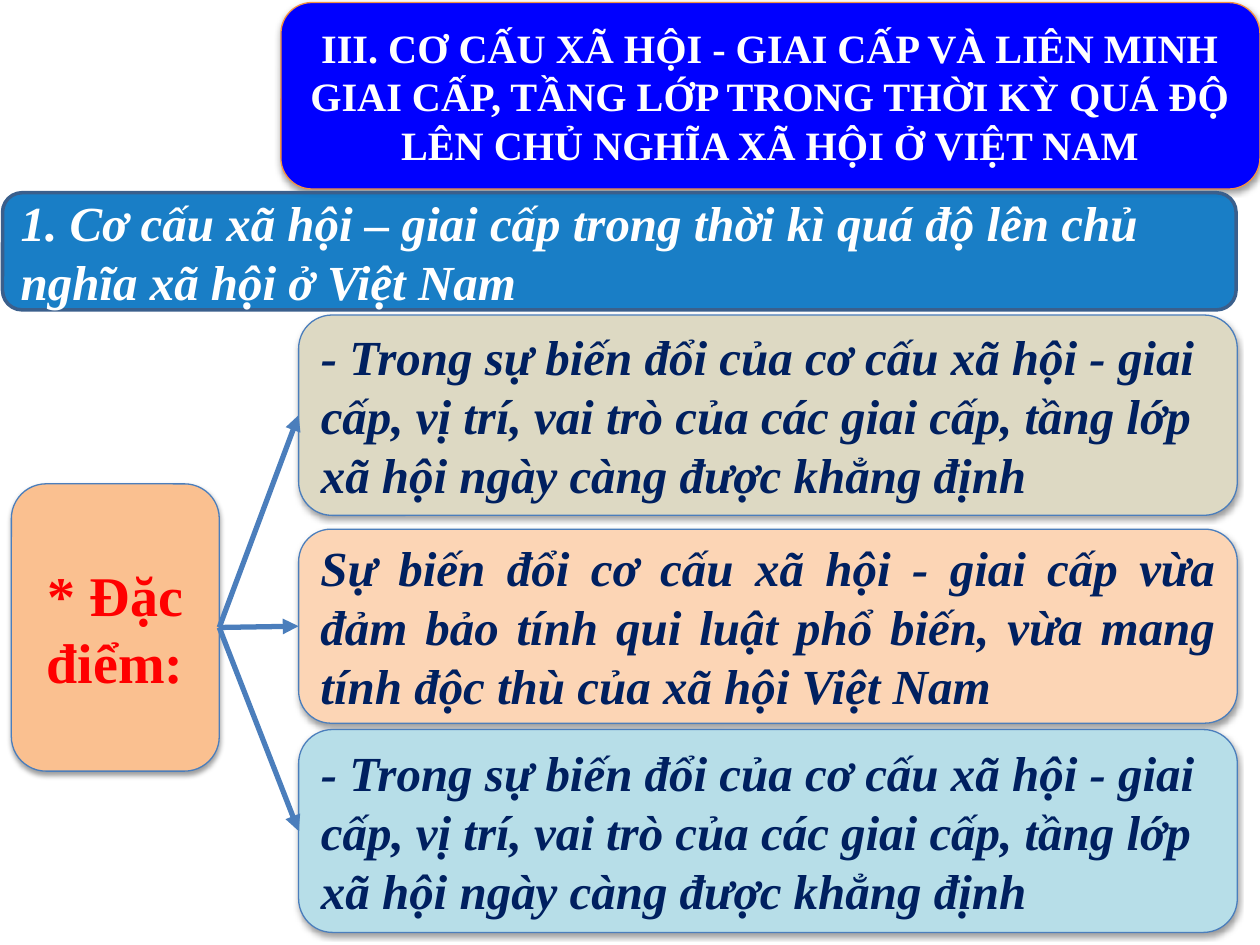
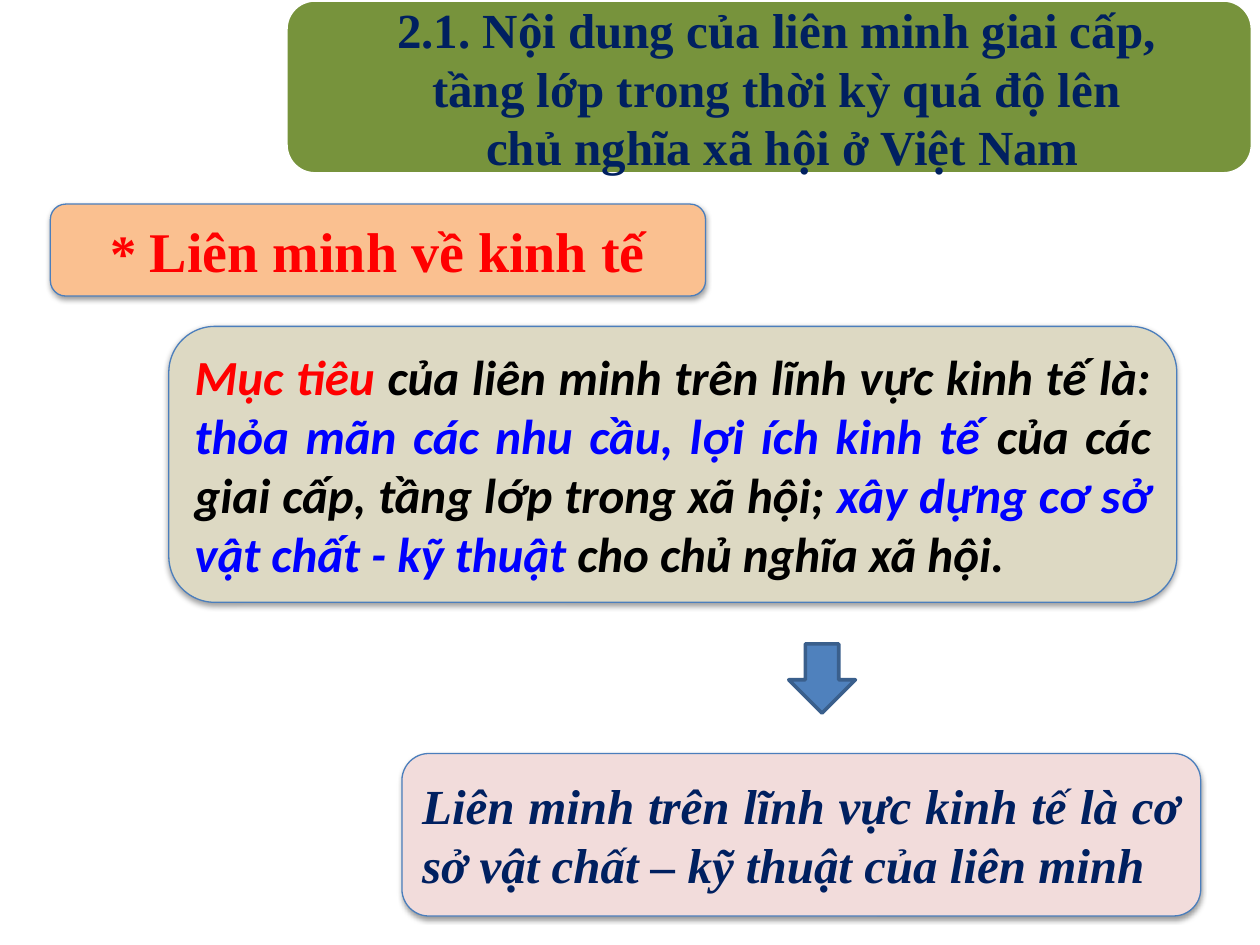
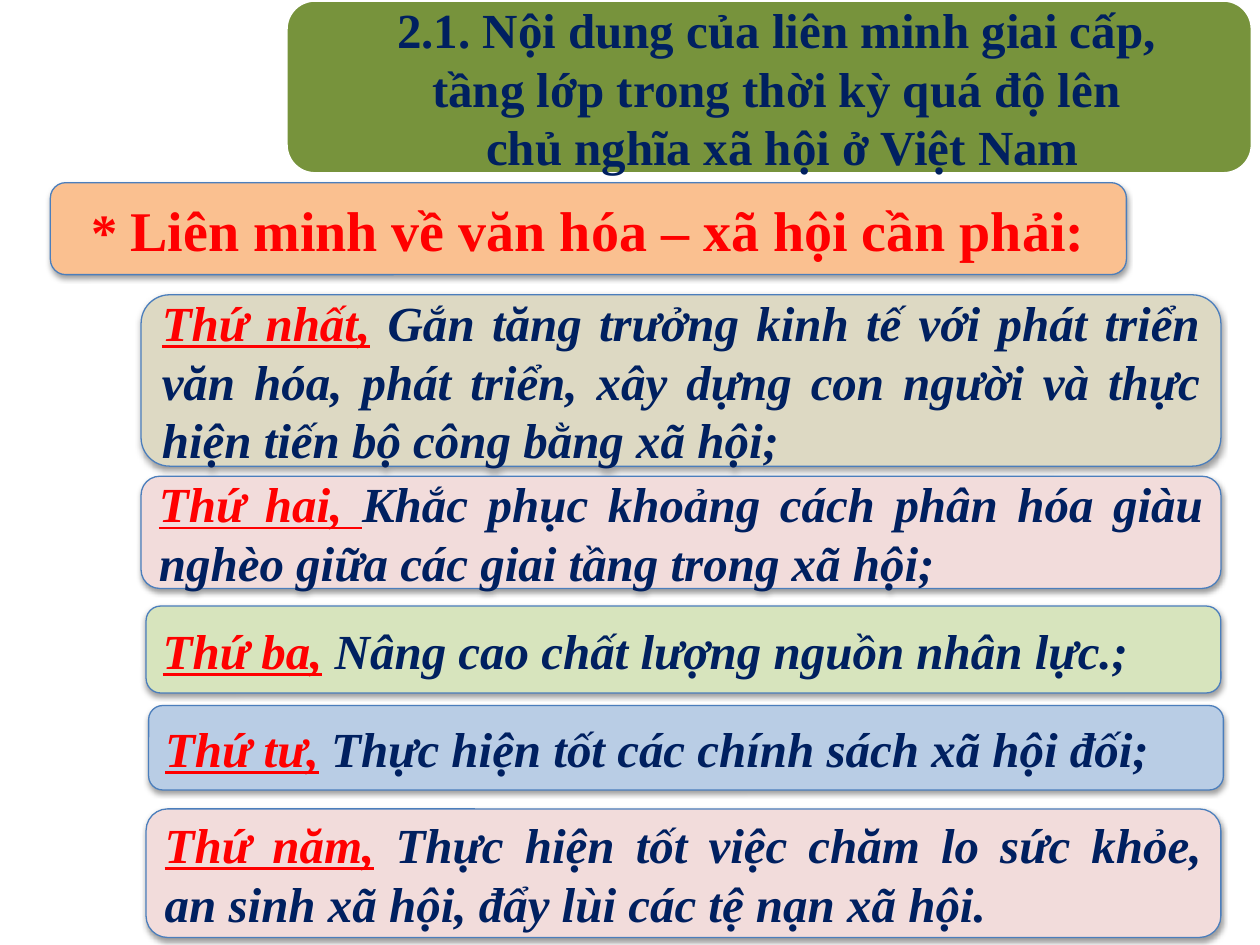
from dataclasses import dataclass

from lxml import etree
from pptx import Presentation
from pptx.dml.color import RGBColor
from pptx.enum.shapes import MSO_CONNECTOR, MSO_SHAPE
from pptx.enum.text import MSO_ANCHOR, MSO_AUTO_SIZE, PP_ALIGN
from pptx.oxml import parse_xml
from pptx.oxml.ns import nsdecls, qn
from pptx.util import Inches, Pt

ROUNDED, DOWN_ARROW = MSO_SHAPE.ROUNDED_RECTANGLE, MSO_SHAPE.DOWN_ARROW
STRAIGHT = MSO_CONNECTOR.STRAIGHT
MIDDLE, NO_AUTOFIT = MSO_ANCHOR.MIDDLE, MSO_AUTO_SIZE.NONE
LEFT, CENTER, JUSTIFY = PP_ALIGN.LEFT, PP_ALIGN.CENTER, PP_ALIGN.JUSTIFY
LEFT_SITE, RIGHT_SITE = 1, 3

SERIF, SANS = "Times New Roman", "Calibri"
COLORS = {
    "white": "FFFFFF", "black": "000000", "blue": "0000FF", "red": "FF0000",
    "navy": "002060", "outline": "4B7EBC", "dark outline": "3A5F8C",
    "orange": "F69240", "bar": "0070C0", "green": "77933C", "apricot": "FAC090",
    "sand": "DDD9C3", "aqua": "B7DEE8", "peach": "FCD5B5", "rose": "F2DCDB",
    "lime": "D7E4BD", "sky": "B9CDE5", "arrow": "4F81BD",
}


@dataclass(frozen=True)
class Span:
    text: str
    color: str = "navy"
    size: int | None = None
    underline: bool = False


@dataclass(frozen=True)
class TextStyle:
    size: int = 28
    italic: bool = True
    align: PP_ALIGN = JUSTIFY
    font: str = SERIF


@dataclass(frozen=True)
class Panel:
    box: tuple[float, float, float, float]
    fill: str
    spans: tuple[Span, ...] = ()
    style: TextStyle = TextStyle()
    line: str = "outline"
    line_width: float = 0.75
    shadow: bool = True
    preset: MSO_SHAPE = ROUNDED


@dataclass(frozen=True)
class Heading:
    panel: Panel
    text_box: tuple[float, float, float, float]
    lines: tuple[str, ...]
    color: str
    size: int


LEFT_TEXT = TextStyle(align=LEFT)
LABEL = TextStyle(size=32, italic=False, align=CENTER)
SANS_TEXT = TextStyle(font=SANS)

PART_BOX = (2.23, 0.02, 7.77, 1.48)
PART_HEADING = Heading(
    Panel(PART_BOX, "blue", line="orange"), PART_BOX,
    ("III. CƠ CẤU XÃ HỘI - GIAI CẤP VÀ LIÊN MINH GIAI CẤP, TẦNG LỚP TRONG "
     "THỜI KỲ QUÁ ĐỘ LÊN CHỦ NGHĨA XÃ HỘI Ở VIỆT NAM",), "white", 23)
SECTION_HEADING = Heading(
    Panel((2.27, 0, 7.67, 1.38), "green", line="white", line_width=2, shadow=False),
    (2.42, 0.07, 7.58, 1.25),
    ("2.1. Nội dung của liên minh giai cấp, ", "tầng lớp trong thời kỳ quá độ lên ",
     "chủ nghĩa xã hội ở Việt Nam"), "navy", 28)

TOPIC_BAR = Panel(
    (0.02, 1.53, 9.79, 0.93), "bar",
    (Span("1. Cơ cấu xã hội – giai cấp trong thời kì quá độ lên chủ nghĩa xã hội ở Việt Nam",
          "white"),), LEFT_TEXT, "dark outline", 2, False)
FEATURES_LABEL = Panel((0.09, 3.84, 1.65, 2.28), "apricot",
                       (Span("* Đặc điểm:", "red"),), LABEL)
ROLES = (Span("- Trong sự biến đổi của cơ cấu xã hội - giai cấp, vị trí, vai trò của các "
              "giai cấp, tầng lớp xã hội ngày càng được khẳng định"),)
FEATURES = (
    Panel((2.37, 2.5, 7.45, 1.59), "sand", ROLES, LEFT_TEXT),
    Panel((2.37, 4.2, 7.45, 1.54), "peach", (
        Span("Sự biến đổi cơ cấu xã hội - giai cấp vừa đảm bảo tính qui luật phổ biến, "
             "vừa mang tính độc thù của xã hội Việt Nam"),)),
    Panel((2.37, 5.79, 7.45, 1.61), "aqua", ROLES, LEFT_TEXT),
)

ECONOMY = (
    Panel((1.34, 2.59, 8, 2.19), "sand", (
        Span("Mục tiêu ", "red"),
        Span("của liên minh trên lĩnh vực kinh tế là: ", "black"),
        Span("thỏa mãn các nhu cầu, lợi ích kinh tế ", "blue"),
        Span("của các giai cấp, tầng lớp trong xã hội; ", "black"),
        Span("xây dựng cơ sở vật chất - kỹ thuật ", "blue"),
        Span("cho chủ nghĩa xã hội.", "black")), SANS_TEXT),
    Panel((3.19, 5.98, 6.34, 1.29), "rose", (
        Span("Liên minh trên lĩnh vực kinh tế là cơ sở vật chất – kỹ thuật của liên minh"),)),
    Panel((6.26, 5.11, 0.53, 0.55), "arrow", line="dark outline", line_width=2,
          shadow=False, preset=DOWN_ARROW),
)


def task(box: tuple[float, float, float, float], fill: str, ordinal: str, text: str) -> Panel:
    return Panel(box, fill, (Span(ordinal, "red", underline=True), Span(text)))


CULTURE_TASKS = (
    task((1.12, 2.34, 8.57, 1.36), "sand", "Thứ nhất,",
         " Gắn tăng trưởng kinh tế với phát triển\n"
         "văn hóa, phát triển, xây dựng con người và thực hiện tiến bộ công bằng xã hội;"),
    task((1.12, 3.78, 8.57, 0.89), "rose", "Thứ hai, ",
         "Khắc phục khoảng cách phân hóa giàu\nnghèo giữa các giai tầng trong xã hội;"),
    task((1.16, 4.81, 8.53, 0.69), "lime", "Thứ ba,", " Nâng cao chất lượng nguồn nhân lực.;"),
    task((1.18, 5.6, 8.53, 0.67), "sky", "Thứ tư,", " Thực hiện tốt các chính sách xã hội đối;"),
    task((1.16, 6.42, 8.53, 1.02), "rose", "Thứ năm,",
         " Thực hiện tốt việc chăm lo sức khỏe,\nan sinh xã hội, đẩy lùi các tệ nạn xã hội. "),
)


def rgb(color: str) -> RGBColor:
    return RGBColor.from_string(COLORS[color])


def style_paragraph(paragraph, style: TextStyle) -> None:
    paragraph.alignment = style.align
    font = paragraph.font
    font.name, font.size = style.font, Pt(style.size)
    font.bold, font.italic = True, style.italic


def add_span(paragraph, span: Span) -> None:
    """Add a span, turning each newline into a line break."""
    for index, line in enumerate(span.text.split("\n")):
        if index:
            paragraph.add_line_break()
        run = paragraph.add_run()
        run.text = line
        run.font.color.rgb = rgb(span.color)
        if span.size:
            run.font.size = Pt(span.size)
        if span.underline:
            run.font.underline = True


def add_shadow(shape) -> None:
    shape._element.spPr.append(parse_xml(
        f'<a:effectLst {nsdecls("a")}>'
        '<a:outerShdw blurRad="40000" dist="20000" dir="5400000" rotWithShape="0">'
        '<a:srgbClr val="000000"><a:alpha val="38000"/></a:srgbClr>'
        '</a:outerShdw></a:effectLst>'))


def add_panel(slide, panel: Panel):
    shape = slide.shapes.add_shape(panel.preset, *map(Inches, panel.box))
    shape.fill.solid()
    shape.fill.fore_color.rgb = rgb(panel.fill)
    shape.line.color.rgb = rgb(panel.line)
    shape.line.width = Pt(panel.line_width)
    if panel.shadow:
        add_shadow(shape)
    else:
        shape.shadow.inherit = False
    if panel.spans:
        frame = shape.text_frame
        frame.word_wrap, frame.vertical_anchor = True, MIDDLE
        style_paragraph(frame.paragraphs[0], panel.style)
        for span in panel.spans:
            add_span(frame.paragraphs[0], span)
    return shape


def set_opacity(shape, percent: int) -> None:
    color = shape._element.spPr.find(qn("a:solidFill"))[0]
    etree.SubElement(color, qn("a:alpha")).set("val", str(percent * 1000))


def add_arrow(slide, source, target) -> None:
    arrow = slide.shapes.add_connector(STRAIGHT, 0, 0, 0, 0)
    arrow.begin_connect(source, RIGHT_SITE)
    arrow.end_connect(target, LEFT_SITE)
    arrow.line.color.rgb = rgb("outline")
    arrow.line.width = Pt(3)
    etree.SubElement(arrow.line._get_or_add_ln(), qn("a:tailEnd")).set("type", "triangle")
    etree.SubElement(arrow._element.spPr, qn("a:effectLst"))


def add_slide(prs, heading: Heading):
    """Add a title-only slide with its title in front of the heading panel."""
    slide = prs.slides.add_slide(prs.slide_layouts[5])
    title = slide.shapes.title
    backdrop = add_panel(slide, heading.panel)
    backdrop._element.addnext(title._element)
    title.left, title.top, title.width, title.height = map(Inches, heading.text_box)
    frame = title.text_frame
    frame.word_wrap, frame.auto_size, frame.vertical_anchor = True, NO_AUTOFIT, MIDDLE
    frame.margin_left = frame.margin_right = Inches(0.17)
    frame.margin_top = frame.margin_bottom = 0
    style = TextStyle(size=heading.size, italic=False, align=CENTER)
    for index, line in enumerate(heading.lines):
        paragraph = frame.add_paragraph() if index else frame.paragraphs[0]
        style_paragraph(paragraph, style)
        add_span(paragraph, Span(line, heading.color))
    return slide


def add_topic(slide, top: float, width: float, text: str) -> None:
    add_panel(slide, Panel((0.4, top, width, 0.73), "apricot",
                           (Span("* ", "red", 30), Span(text, "red")), LABEL))


def build_features(prs) -> None:
    slide = add_slide(prs, PART_HEADING)
    set_opacity(add_panel(slide, TOPIC_BAR), 90)
    label = add_panel(slide, FEATURES_LABEL)
    for feature in FEATURES:
        add_arrow(slide, label, add_panel(slide, feature))


def build_economy(prs) -> None:
    slide = add_slide(prs, SECTION_HEADING)
    add_topic(slide, 1.62, 5.2, "Liên minh về kinh tế")
    for panel in ECONOMY:
        add_panel(slide, panel)


def build_culture(prs) -> None:
    slide = add_slide(prs, SECTION_HEADING)
    add_topic(slide, 1.45, 8.54, "Liên minh về văn hóa – xã hội cần phải:")
    for panel in CULTURE_TASKS:
        add_panel(slide, panel)


def main() -> None:
    prs = Presentation()
    prs.slide_width, prs.slide_height = Inches(10), Inches(7.5)
    build_features(prs)
    build_economy(prs)
    build_culture(prs)
    prs.save("out.pptx")


if __name__ == "__main__":
    main()
